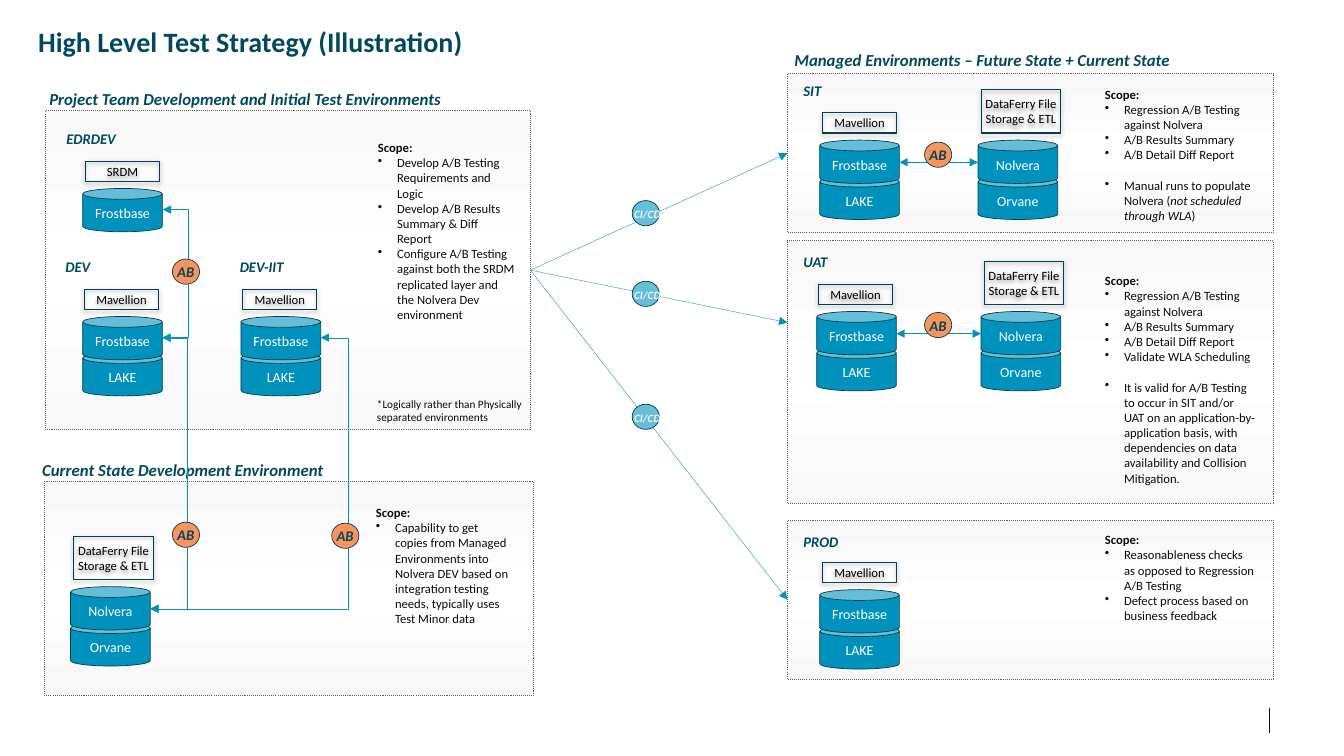
import dataclasses

import pptx
import pptx.dml.color
import pptx.enum.dml
import pptx.enum.shapes
import pptx.enum.text
import pptx.oxml
import pptx.oxml.ns
import pptx.util

WIDTH, HEIGHT = 13.33, 7.5
COLUMNS, ROWS = 133.3, 75  # the grid on which everything is placed
SHAPE = pptx.enum.shapes.MSO_SHAPE
CONNECTOR = pptx.enum.shapes.MSO_CONNECTOR
CAN_WIDTH, CAN_HEIGHT, CAN_STEP = 7.9, 4.3, 3.58
DISC_WIDTH, DISC_HEIGHT = 2.7, 2.5
LOADER, LEGACY_LOADER = "Mavellion", "DataFerry File Storage & ETL"
NEW_STORES, OLD_STORES = ("Frostbase", "LAKE"), ("Nolvera", "Orvane")


@dataclasses.dataclass(frozen=True)
class Theme:
    font: str = "Calibri"
    heading: str = "00495E"
    body: str = "0C0C0C"
    black: str = "000000"
    white: str = "FFFFFF"
    pale: str = "F2F2F2"
    panel: str = "F8F8F8"
    panel_line: str = "5F5F5F"
    can: str = "0092BC"
    outline: str = "004052"
    compare: str = "FB935C"
    deploy: str = "66BED7"
    title_size: float = 20
    section_size: float = 12
    name_size: float = 10.5
    can_size: float = 10
    scope_size: float = 9
    small_size: float = 8


THEME = Theme()


def across(columns):
    return pptx.util.Inches(WIDTH * columns / COLUMNS)


def down(rows):
    return pptx.util.Inches(HEIGHT * rows / ROWS)


def place(left, top, width, height):
    return across(left), down(top), across(width), down(height)


def rgb(value):
    return pptx.dml.color.RGBColor.from_string(value)


def xml(tag, attributes="", inner=""):
    namespace = pptx.oxml.ns.nsdecls("a")
    return pptx.oxml.parse_xml(f"<a:{tag} {namespace} {attributes}>{inner}</a:{tag}>")


def style(para, size, color, bold=False, italic=False):
    font = para.font
    font.name, font.size, font.color.rgb = THEME.font, pptx.util.Pt(size), rgb(color)
    font.bold, font.italic = bold, italic


def add_text(shapes, area, text, size, color, bold=True, italic=True, wrap=True):
    box = shapes.add_textbox(*place(*area))
    frame = box.text_frame
    frame.word_wrap = wrap
    frame.auto_size = pptx.enum.text.MSO_AUTO_SIZE.SHAPE_TO_FIT_TEXT
    frame.text = text
    style(frame.paragraphs[0], size, color, bold, italic)
    return frame


def add_shape(shapes, kind, area, fill, line, weight):
    shape = shapes.add_shape(kind, *place(*area))
    if fill:
        shape.fill.solid()
        shape.fill.fore_color.rgb = rgb(fill)
    else:
        shape.fill.background()
    shape.line.color.rgb = rgb(line)
    shape.line.width = pptx.util.Pt(weight)
    shape.shadow.inherit = False
    return shape


def set_label(shape, text, size, color):
    frame = shape.text_frame
    frame.word_wrap = True
    frame.margin_left = frame.margin_right = across(0.4)
    frame.margin_top = frame.margin_bottom = down(0.4)
    frame.vertical_anchor = pptx.enum.text.MSO_ANCHOR.MIDDLE
    frame.text = text
    frame.paragraphs[0].alignment = pptx.enum.text.PP_ALIGN.CENTER
    style(frame.paragraphs[0], size, color)


def add_panel(shapes, *area):
    panel = add_shape(shapes, SHAPE.RECTANGLE, area, None, THEME.panel_line, 0.75)
    panel.line.dash_style = pptx.enum.dml.MSO_LINE.ROUND_DOT
    colors = ((0, THEME.panel), (50000, THEME.white), (100000, THEME.panel))
    stops = "".join(f'<a:gs pos="{at}"><a:srgbClr val="{color}"/></a:gs>' for at, color in colors)
    properties = panel.element.spPr
    properties.replace(
        properties.find(pptx.oxml.ns.qn("a:noFill")),
        xml("gradFill", "", f'<a:gsLst>{stops}</a:gsLst><a:lin ang="5400000" scaled="0"/>'))
    return panel


def add_stack(shapes, left, top, tool, stores, shift=0.3):
    """Stores piled from the top down, with the loading tool above them."""
    for level, name in reversed(list(enumerate(stores))):
        area = (left, top + level * CAN_STEP, CAN_WIDTH, CAN_HEIGHT)
        can = add_shape(shapes, SHAPE.CAN, area, THEME.can, THEME.outline, 0.5)
        set_label(can, name, THEME.can_size, THEME.white)
    width, height, rise = (7.9, 4.3, 5) if tool == LEGACY_LOADER else (7.3, 2, 2.7)
    area = (left + shift, top - rise, width, height)
    label = add_shape(shapes, SHAPE.RECTANGLE, area, None, THEME.outline, 0.75)
    set_label(label, tool, THEME.scope_size, THEME.black)
    effects = label.element.spPr.find(pptx.oxml.ns.qn("a:effectLst"))
    effects.append(xml(
        "outerShdw", 'blurRad="39370" dist="20320" dir="5400000" rotWithShape="0"',
        f'<a:srgbClr val="{THEME.black}"><a:alpha val="38000"/></a:srgbClr>'))


def add_link(shapes, start, end, bend=None, arrows=("tailEnd",), color=THEME.can):
    kind = CONNECTOR.STRAIGHT if bend is None else CONNECTOR.ELBOW
    link = shapes.add_connector(kind, across(start[0]), down(start[1]), across(end[0]), down(end[1]))
    link.line.color.rgb = rgb(color)
    link.line.width = pptx.util.Pt(0.25)
    properties = link.element.spPr
    line = properties.find(pptx.oxml.ns.qn("a:ln"))
    for arrow in arrows:
        line.append(xml(arrow, 'type="triangle"'))
    properties.append(xml("effectLst"))
    if bend is not None:
        share = round((bend - start[0]) / (end[0] - start[0]) * 100000)
        geometry = properties.find(pptx.oxml.ns.qn("a:prstGeom"))
        guides = geometry.find(pptx.oxml.ns.qn("a:avLst"))
        guides.append(xml("gd", f'name="adj1" fmla="val {share}"'))
    return link


def add_badge(shapes, left, top, text):
    group = shapes.add_group_shape().shapes
    deploy = text == "CI/CD"
    fill = THEME.deploy if deploy else THEME.compare
    add_shape(group, SHAPE.OVAL, (left, top, DISC_WIDTH, DISC_HEIGHT), fill, THEME.outline, 0.5)
    if deploy:
        area, size, color = (left - 0.8, top + 0.2, 4.7, 2.4), THEME.small_size, THEME.pale
    else:
        area, size, color = (left - 0.5, top - 0.1, 3.7, 2.8), THEME.name_size, THEME.heading
    add_text(group, area, text, size, color, wrap=False)


def add_scope(shapes, area, *bullet_groups):
    """Bullets under a heading; asterisks enclose italic words."""
    frame = add_text(shapes, area, "Scope:", THEME.scope_size, THEME.body, italic=False)
    for number, bullets in enumerate(bullet_groups):
        for position, bullet in enumerate(bullets):
            para = frame.add_paragraph()
            style(para, THEME.scope_size, THEME.body)
            if number and not position:
                para.space_before = pptx.util.Pt(11)
            for part, words in enumerate(bullet.split("*")):
                span = para.add_run()
                span.text = words
                if part % 2:
                    span.font.italic = True
            properties = para._p.get_or_add_pPr()
            properties.set("marL", str(across(1.9)))
            properties.set("indent", str(-across(1.9)))
            properties.insert_element_before(xml("buChar", 'char="•"'), "a:tabLst", "a:defRPr")


def main():
    deck = pptx.Presentation()
    deck.slide_width, deck.slide_height = pptx.util.Inches(WIDTH), pptx.util.Inches(HEIGHT)
    shapes = deck.slides.add_slide(deck.slide_layouts[6]).shapes

    # Panels
    add_panel(shapes, 4.4, 47.8, 48.5, 21.2)
    project = add_panel(shapes, 4.5, 11, 48.1, 31.6)
    sit, uat, prod = [add_panel(shapes, 78.1, top, 48.2, height)
                      for top, height in ((7.3, 15.8), (23.9, 26.1), (51.6, 15.8))]

    # Title, section headings and environment names
    add_text(shapes, (2.8, 1.9, 46.1, 4.4), "High Level Test Strategy (Illustration)",
             THEME.title_size, THEME.heading, italic=False)
    for left, top, width, text in (
            (77.8, 4.4, 48.9, "Managed Environments – Future State + Current State"),
            (3.9, 8.3, 48.9, "Project Team Development and Initial Test Environments"),
            (3.2, 45.1, 31.9, "Current State Development Environment")):
        add_text(shapes, (left, top, width, 3), text, THEME.section_size, THEME.heading)
    for left, top, width, text in (
            (78.7, 7.6, 3.8, "SIT"), (78.7, 24.6, 4.6, "UAT"), (78.7, 52.4, 5.5, "PROD"),
            (5.6, 12.4, 7, "EDRDEV"), (5.5, 25.1, 4.5, "DEV"), (22.8, 25.1, 6.5, "DEV-IIT")):
        add_text(shapes, (left, top, width, 2.8), text, THEME.name_size, THEME.heading, wrap=False)

    # Stores with their loading tools
    for left, top in ((81.3, 13.9), (81.3, 58.5), (81, 30.9), (8.2, 31.4), (23.9, 31.4)):
        add_stack(shapes, left, top, LOADER, NEW_STORES, 0.2 if left < 81.3 else 0.3)
    for left, top in ((97, 13.9), (97.3, 30.9), (7, 58.2)):
        add_stack(shapes, left, top, LEGACY_LOADER, OLD_STORES)
    add_stack(shapes, 8.2, 18.7, "SRDM", NEW_STORES[:1])

    # Deployment lines and comparison links
    for panel, row in ((sit, 15.2), (uat, 32), (prod, 59.5)):
        link = add_link(shapes, (52.6, 26.8), (78.1, row))
        link.begin_connect(project, 3)
        if panel is not uat:  # the UAT line ends above the middle
            link.end_connect(panel, 1)
    both = ("headEnd", "tailEnd")
    for start, end, bend in (
            ((89.2, 16.1), (97, 16.1), None), ((88.9, 33.1), (97.3, 33.1), None),
            ((16.1, 33.5), (16.15, 20.8), 18.6), ((16.1, 33.5), (14.9, 60.4), 18.6),
            ((31.8, 33.5), (14.9, 60.4), 34.5)):
        add_link(shapes, start, end, bend, both)
    for left, top in ((91.7, 14.1), (91.7, 31), (17.1, 25.7), (17.1, 51.8), (32.9, 51.9)):
        add_badge(shapes, left, top, "AB")
    for top in (19.9, 27.9, 40.1):
        add_badge(shapes, 62.7, top, "CI/CD")

    # Scope notes
    regression = ["Regression A/B Testing against Nolvera", "A/B Results Summary", "A/B Detail Diff Report"]
    add_scope(shapes, (108.6, 8.1, 16.9, 14.6), regression,
              ["Manual runs to populate Nolvera (*not scheduled through WLA*)"])
    add_scope(shapes, (108.6, 26.6, 16.9, 22.2), regression + ["Validate WLA Scheduling"],
              ["It is valid for A/B Testing to occur in SIT and/or UAT on an application-by-application "
               "basis, with dependencies on data availability and Collision Mitigation."])
    add_scope(shapes, (108.6, 52.3, 16.9, 10.1),
              ["Reasonableness checks as opposed to Regression A/B Testing",
               "Defect process based on business feedback"])
    add_scope(shapes, (36.5, 13.4, 15.5, 19.2),
              ["Develop A/B Testing Requirements and Logic", "Develop A/B Results Summary & Diff Report",
               "Configure A/B Testing against both the SRDM replicated layer and the Nolvera Dev environment"])
    add_scope(shapes, (36.3, 49.6, 15.5, 13.1),
              ["Capability to get copies from Managed Environments into Nolvera DEV based on "
               "integration testing needs, typically uses Test Minor data"])
    add_text(shapes, (36.4, 38.9, 16.8, 3.7), "*Logically rather than Physically separated environments",
             THEME.small_size, THEME.body, bold=False, italic=False)

    # Footer rule
    add_link(shapes, (125.9, 70.2), (125.9, 72.7), arrows=(), color=THEME.body)
    deck.save("out.pptx")


if __name__ == "__main__":
    main()
